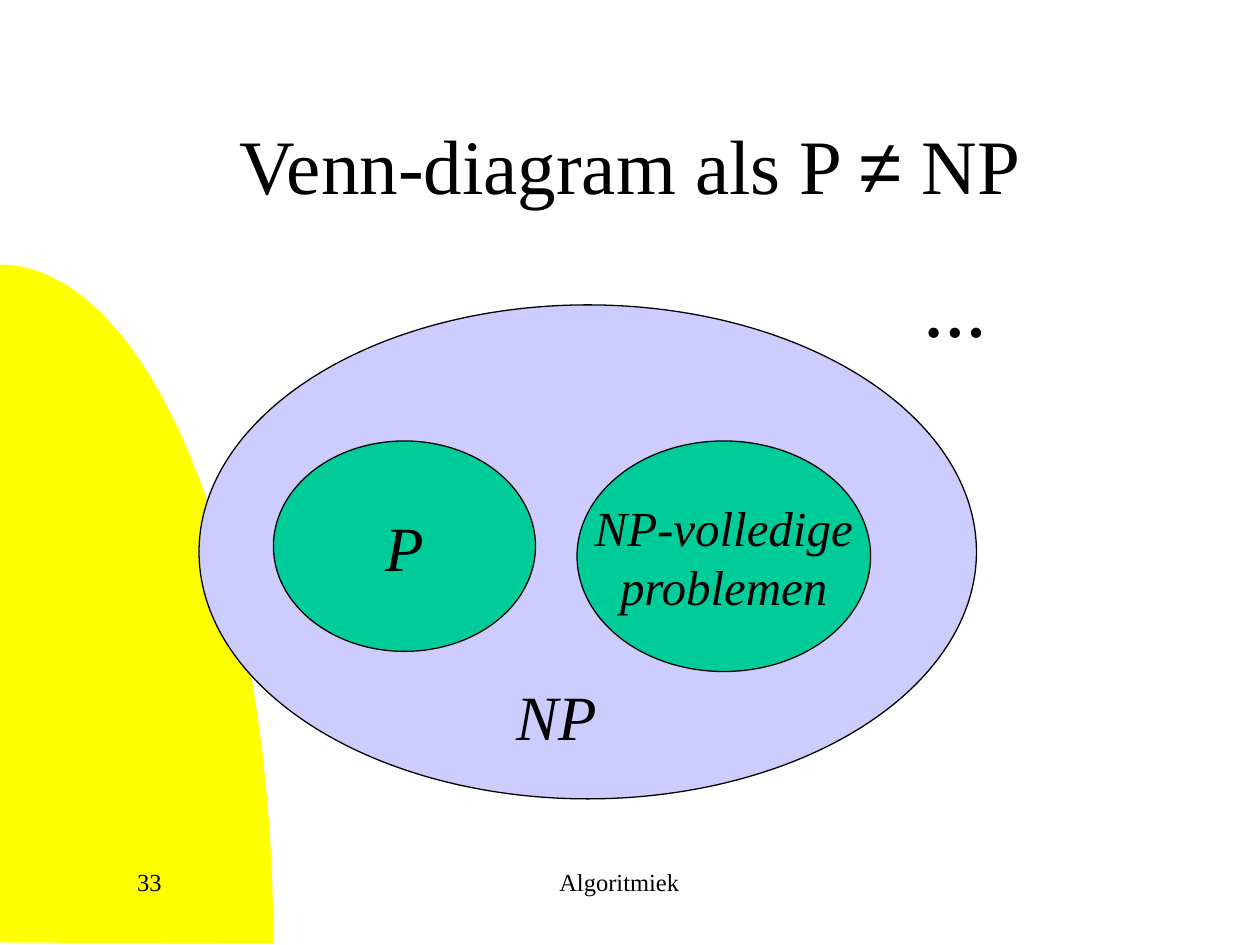
from math import cos, pi, sin

from pptx import Presentation
from pptx.dml.color import RGBColor
from pptx.enum.shapes import MSO_SHAPE
from pptx.enum.text import MSO_ANCHOR, MSO_AUTO_SIZE, PP_ALIGN
from pptx.util import Inches, Pt

COLORS = {"text": "000000", "line": "000000", "curve": "FFFF00",
          "np": "CCCCFF", "subset": "00CC99"}
FONT = "Times New Roman"


def color(name):
    return RGBColor.from_string(COLORS[name])


def write(sp, text, size, align=PP_ALIGN.LEFT, anchor=MSO_ANCHOR.TOP,
          wrap=False, italic=False, bold=False):
    tf = sp.text_frame
    tf.word_wrap = wrap
    tf.vertical_anchor = anchor
    p = tf.paragraphs[0]
    p.text = text
    p.alignment = align
    for r in p.runs:
        r.font.name = FONT
        r.font.size = Pt(size)
        r.font.italic = italic
        r.font.bold = bold
        r.font.color.rgb = color("text")
    return p


prs = Presentation()
prs.slide_width = Inches(10)
prs.slide_height = Inches(7.5)
s = prs.slides.add_slide(prs.slide_layouts[6])

steps = 60
angles = [pi / 2 * i / steps for i in range(steps + 1)]
arc = [(Inches(2.17 * sin(a)), Inches(7.49 - 5.39 * cos(a))) for a in angles]
fb = s.shapes.build_freeform(*arc[0])
fb.add_line_segments(arc[1:] + [(0, Inches(7.48))], close=True)
curve = fb.convert_to_shape()
curve.shadow.inherit = False
curve.fill.solid()
curve.fill.fore_color.rgb = color("curve")
curve.line.fill.background()

title = s.shapes.add_textbox(Inches(0.75), Inches(0.67), Inches(8.5), Inches(1.25))
p = write(title, "Venn-diagram als P ", 44, PP_ALIGN.CENTER, MSO_ANCHOR.MIDDLE, wrap=True)
for text, font in [("≠", "Arial"), (" NP", FONT)]:
    r = p.add_run()
    r.text = text
    r.font.name = font
    r.font.size = Pt(44)
    r.font.color.rgb = color("text")

ellipses = [
    (1.58, 2.42, 6.17, 3.92, "np", "", 36),
    (2.17, 3.5, 2.08, 1.67, "subset", "P", 36),
    (4.58, 3.5, 2.33, 1.83, "subset", "NP-volledige\vproblemen", 28),
]
for x, y, w, h, fill, text, size in ellipses:
    sp = s.shapes.add_shape(MSO_SHAPE.OVAL, Inches(x), Inches(y), Inches(w), Inches(h))
    sp.shadow.inherit = False
    sp.fill.solid()
    sp.fill.fore_color.rgb = color(fill)
    sp.line.color.rgb = color("line")
    sp.line.width = Pt(0.75)
    if text:
        write(sp, text, size, PP_ALIGN.CENTER, MSO_ANCHOR.MIDDLE, italic=True)

labels = [(4, 5.33, 0.84, "NP", True), (7.23, 2.13, 0.7, "…", False)]
for x, y, w, text, italic in labels:
    sp = s.shapes.add_textbox(Inches(x), Inches(y), Inches(w), Inches(0.7))
    write(sp, text, 36, italic=italic, bold=not italic)
    sp.text_frame.auto_size = MSO_AUTO_SIZE.SHAPE_TO_FIT_TEXT

footers = [(2.92, 3.75, "Algoritmiek", PP_ALIGN.CENTER), (0.75, 2.08, "33", PP_ALIGN.LEFT)]
for x, w, text, align in footers:
    sp = s.shapes.add_textbox(Inches(x), Inches(6.83), Inches(w), Inches(0.5))
    p = write(sp, text, 14, align, wrap=True)
    p._p.get_or_add_pPr().set("marL", str(Inches(0.24)))

prs.save("out.pptx")
